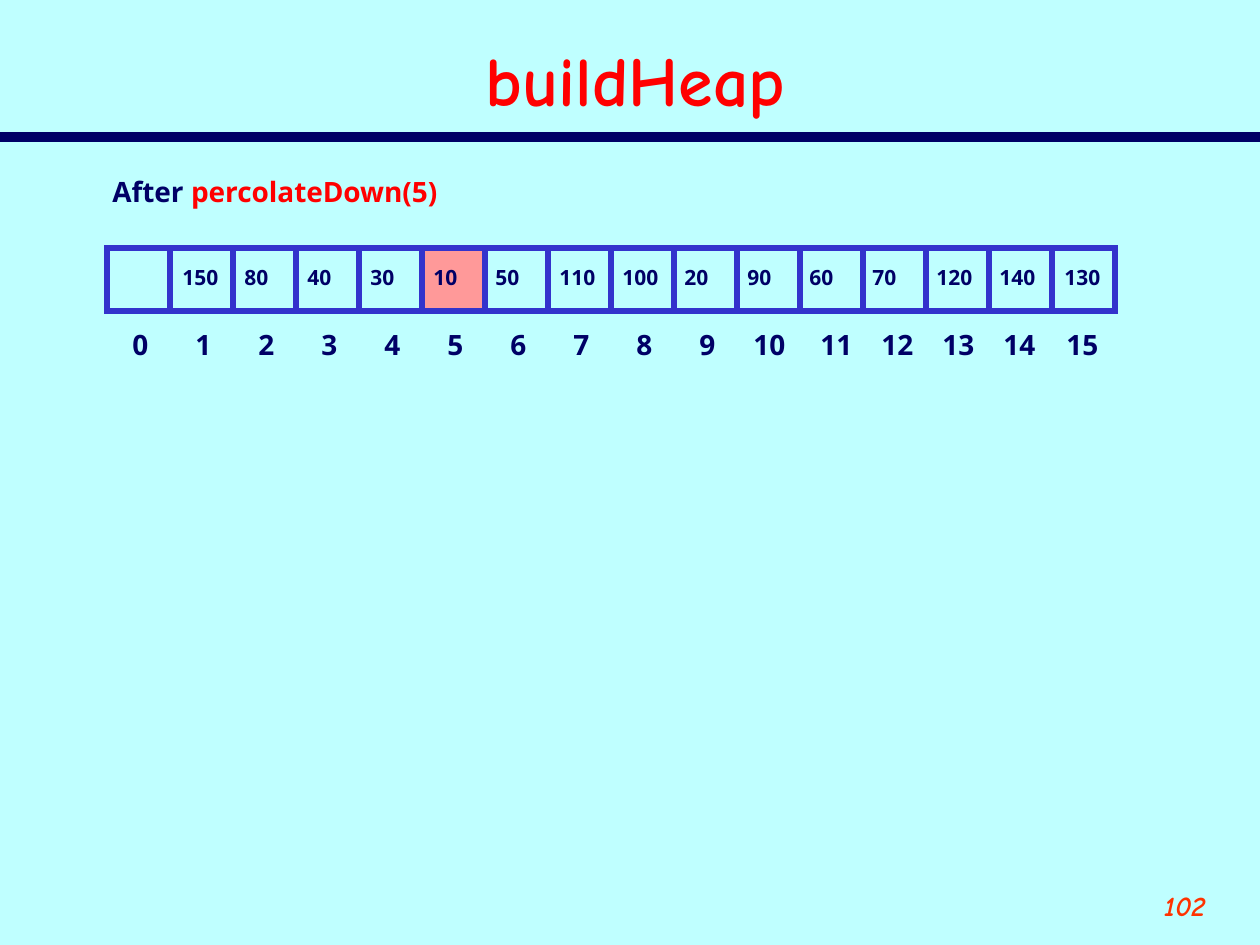
import pptx
import pptx.util
import pptx.dml.color
import pptx.enum.shapes
import pptx.enum.text
import pptx.oxml
import pptx.oxml.ns
from dataclasses import dataclass

ALIGN = pptx.enum.text.PP_ALIGN
FIT = pptx.enum.text.MSO_AUTO_SIZE
NS = 'xmlns:a="http://schemas.openxmlformats.org/drawingml/2006/main"'
SCALE = 914400 / 126  # EMU in one px


@dataclass(frozen=True)
class Theme:
    back: str = "BFFFFF"
    navy: str = "000066"
    red: str = "FF0000"
    page: str = "FF3300"
    edge: str = "3333CC"
    mark: str = "FF9999"
    hand: str = "Comic Neue"
    sans: str = "Noto Sans"
    big: int = 40
    mid: int = 16
    small: int = 12
    rule: float = 6
    border: float = 3.5


THEME = Theme()

# Heap array: one cell per index, the first stays empty
PITCH = 63
LEFT, TOP = 107, 248
HOT = 5
VALUES = [150, 80, 40, 30, 10, 50, 110, 100, 20, 90, 60, 70, 120, 140, 130]
VALUE_X = [170, 232, 295, 358, 421, 483, 547, 610, 672, 735, 797, 860,
           924, 987, 1052]
INDEX_X = [120 + PITCH * i for i in range(10)] + [741, 808, 869, 930, 991, 1054]


def px(n):
    return pptx.util.Emu(round(n * SCALE))


def rgb(code):
    return pptx.dml.color.RGBColor.from_string(code)


def add_run(para, text, size, color, face=THEME.sans, italic=None):
    run = para.add_run()
    run.text = text
    font = run.font
    font.name, font.size = face, pptx.util.Pt(size)
    font.bold, font.italic = True, italic
    font.color.rgb = rgb(color)


def add_label(slide, x, y, w, h, runs, size):
    """Unwrapped text that sizes its own box; runs are (text, color)."""
    frame = slide.shapes.add_textbox(px(x), px(y), px(w), px(h)).text_frame
    frame.word_wrap = False
    frame.auto_size = FIT.SHAPE_TO_FIT_TEXT
    for text, color in runs:
        add_run(frame.paragraphs[0], text, size, color)


def add_title(slide, text):
    title = slide.shapes.title
    title.left, title.top = px(53), px(31)
    title.width, title.height = px(1165), px(94)
    frame = title.text_frame
    frame.auto_size = FIT.NONE
    frame.vertical_anchor = pptx.enum.text.MSO_ANCHOR.MIDDLE
    para = frame.paragraphs[0]
    para.alignment = ALIGN.CENTER
    add_run(para, text, THEME.big, THEME.red, THEME.hand)


def add_rule(slide, y):
    kind = pptx.enum.shapes.MSO_CONNECTOR.STRAIGHT
    line = slide.shapes.add_connector(kind, 0, px(y), px(1260), px(y))
    line.line.color.rgb = rgb(THEME.navy)
    line.line.width = pptx.util.Pt(THEME.rule)
    line._element.spPr.append(pptx.oxml.parse_xml(f"<a:effectLst {NS}/>"))


def add_page(slide, text):
    box = slide.shapes.add_textbox(px(1092), px(882), px(126), px(63))
    box.text_frame.word_wrap = True
    para = box.text_frame.paragraphs[0]
    para.alignment = ALIGN.RIGHT
    add_run(para, text, THEME.mid, THEME.page, THEME.hand, italic=True)


def add_cell(slide, i):
    kind = pptx.enum.shapes.MSO_SHAPE.RECTANGLE
    cell = slide.shapes.add_shape(
        kind, px(LEFT + PITCH * i), px(TOP), px(PITCH), px(PITCH))
    cell.shadow.inherit = False
    if i == HOT:
        cell.fill.solid()
        cell.fill.fore_color.rgb = rgb(THEME.mark)
    else:
        cell.fill.background()
    cell.line.color.rgb = rgb(THEME.edge)
    cell.line.width = pptx.util.Pt(THEME.border)
    # Sharp corners
    edge = cell._element.spPr.find(pptx.oxml.ns.qn("a:ln"))
    edge.append(pptx.oxml.parse_xml(f'<a:miter {NS} lim="800000"/>'))


def add_heap(slide):
    for i in range(len(INDEX_X)):
        add_cell(slide, i)
    for i, x in enumerate(INDEX_X):
        wide = 41 if i < 10 else 57
        add_label(slide, x, 321, wide, 47, [(str(i), THEME.navy)], THEME.mid)
    for value, x in zip(VALUES, VALUE_X):
        wide = 50 if value < 100 else 62
        add_label(slide, x, 258, wide, 38, [(str(value), THEME.navy)],
                  THEME.small)


def main():
    deck = pptx.Presentation()
    deck.slide_width, deck.slide_height = px(1260), px(945)
    slide = deck.slides.add_slide(deck.slide_layouts[5])
    slide.background.fill.solid()
    slide.background.fill.fore_color.rgb = rgb(THEME.back)

    # Frame of the slide
    add_rule(slide, 137)
    add_page(slide, "102")
    add_title(slide, "buildHeap")

    # Step and its array
    add_label(slide, 100, 168, 352, 47,
              [("After ", THEME.navy), ("percolateDown(5)", THEME.red)],
              THEME.mid)
    add_heap(slide)
    deck.save("out.pptx")


if __name__ == "__main__":
    main()
